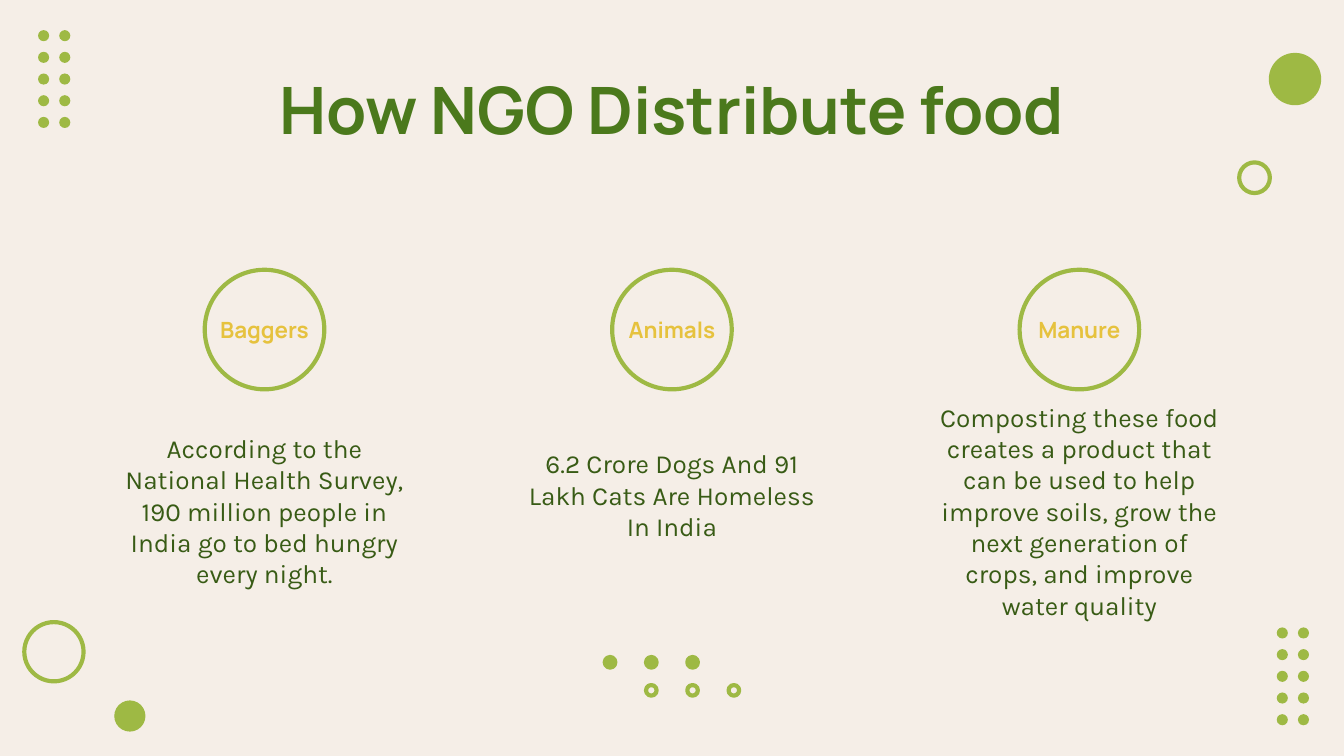
import pptx
import pptx.util
import pptx.dml.color
import pptx.enum.shapes
import pptx.enum.text

Cm = pptx.util.Cm
Pt = pptx.util.Pt
RGB = pptx.dml.color.RGBColor.from_string

COLORS = {
    "background": "F5EEE7",
    "accent": "9EB944",
    "title": "4B791C",
    "label": "E6C23E",
    "body": "385B15",
}

deck = pptx.Presentation()
deck.slide_width = Cm(25.4)
deck.slide_height = Cm(14.29)
page = deck.slides.add_slide(deck.slide_layouts[5])
page.background.fill.solid()
page.background.fill.fore_color.rgb = RGB(COLORS["background"])


def add_circle(left, top, size, filled, outlined):
    circle = page.shapes.add_shape(
        pptx.enum.shapes.MSO_SHAPE.OVAL, Cm(left), Cm(top), Cm(size), Cm(size)
    )
    circle.shadow.inherit = False
    if filled:
        circle.fill.solid()
        circle.fill.fore_color.rgb = RGB(COLORS["accent"])
    else:
        circle.fill.background()
    if outlined:
        circle.line.color.rgb = RGB(COLORS["accent"])
        circle.line.width = Pt(2.25)
    else:
        circle.line.fill.background()


def write_text(box, text, font, size, color, bold):
    frame = box.text_frame
    frame.word_wrap = True
    frame.auto_size = pptx.enum.text.MSO_AUTO_SIZE.NONE
    frame.vertical_anchor = pptx.enum.text.MSO_ANCHOR.MIDDLE
    frame.margin_left = frame.margin_right = Cm(0.25)
    frame.margin_top = frame.margin_bottom = Cm(0.25)
    para = frame.paragraphs[0]
    para.alignment = pptx.enum.text.PP_ALIGN.CENTER
    span = para.add_run()
    span.text = text
    span.font.name = font
    span.font.size = Pt(size)
    span.font.bold = bold
    span.font.color.rgb = RGB(COLORS[color])


for column in range(3):
    add_circle(11.43 + 0.78 * column, 12.42, 0.2, True, True)
    add_circle(12.21 + 0.78 * column, 12.95, 0.2, False, True)

for grid_left, grid_top in [(0.72, 0.57), (24.13, 11.86)]:
    for column in range(2):
        for row in range(5):
            add_circle(grid_left + 0.4 * column, grid_top + 0.41 * row, 0.21, True, False)

add_circle(0.46, 11.76, 1.12, False, True)
add_circle(2.16, 13.24, 0.59, True, False)
add_circle(23.98, 1, 0.99, True, False)
add_circle(23.42, 3.07, 0.58, False, True)

title = page.shapes.title
title.left, title.top, title.width, title.height = Cm(2), Cm(1.25), Cm(21.4), Cm(1.6)
write_text(title, "How NGO Distribute food", "Manrope", 35, "title", True)

groups = [
    ("Baggers", 8.74, "According to the National Health Survey, 190 million people in India go to bed hungry every night."),
    ("Animals", 8.44, "6.2 Crore Dogs And 91 Lakh Cats Are Homeless In India"),
    ("Manure", 8.74, "Composting these food creates a product that can be used to help improve soils, grow the next generation of crops, and improve water quality"),
]
for index, (label, body_top, description) in enumerate(groups):
    center = 5 + 7.7 * index
    left = Cm(center - 3)
    label_box = page.shapes.add_textbox(left, Cm(5.66), Cm(6), Cm(1.14))
    write_text(label_box, label, "Manrope", 12, "label", True)
    body_box = page.shapes.add_textbox(left, Cm(body_top), Cm(6), Cm(1.83))
    write_text(body_box, description, "Karla", 14, "body", False)
    add_circle(center - 1.13, 5.1, 2.26, False, True)

deck.save("out.pptx")
